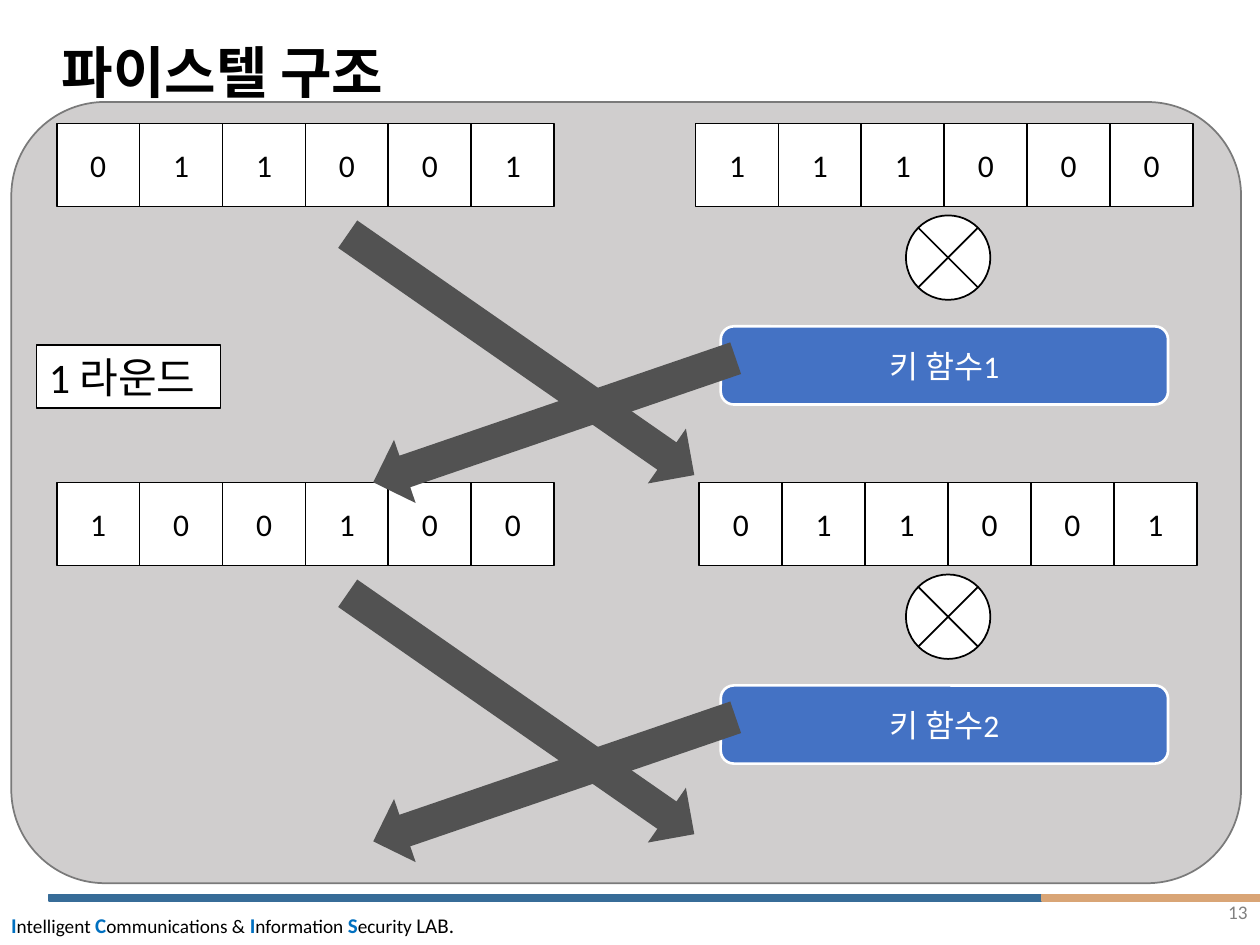
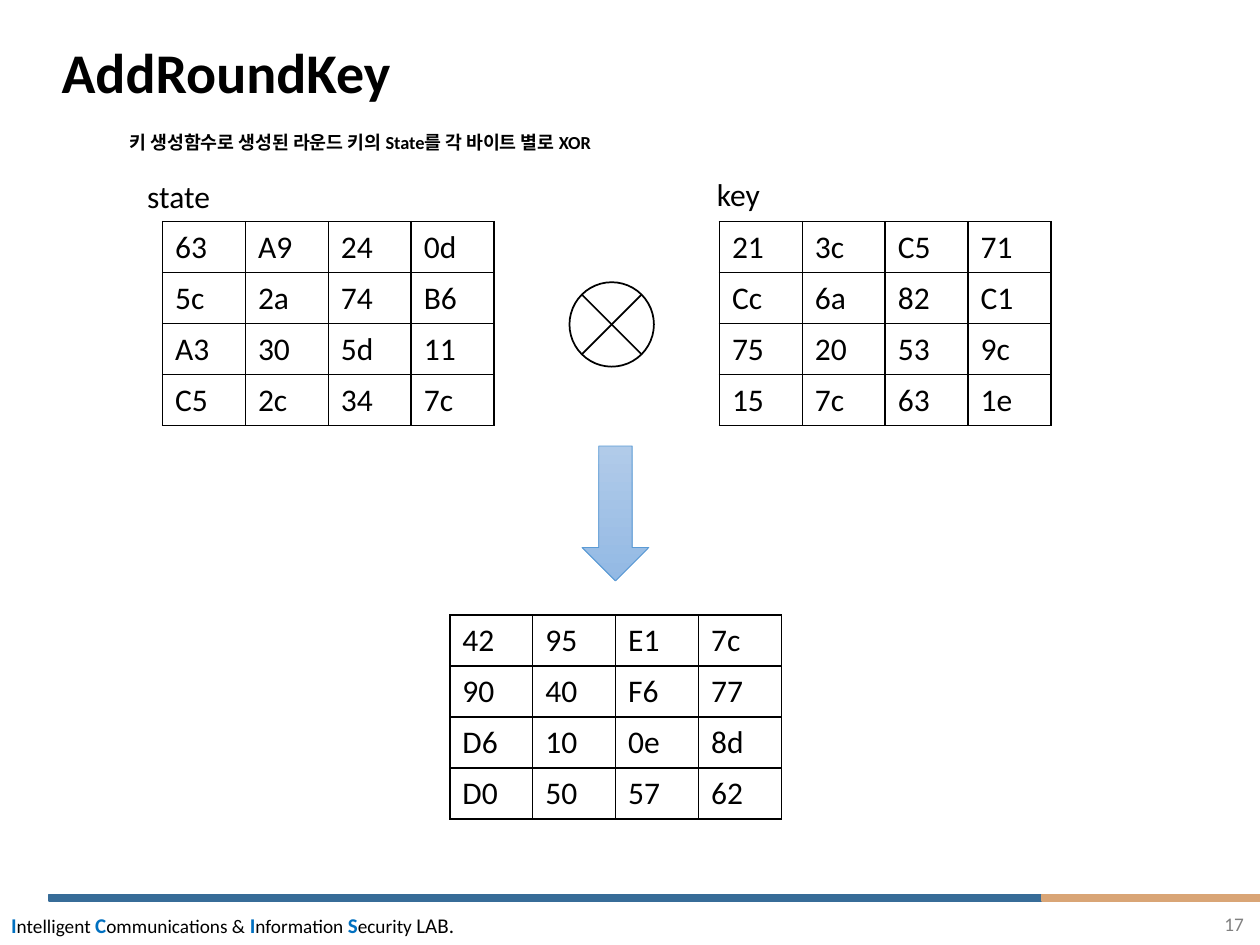
from lxml import etree
from pptx import Presentation
from pptx.dml.color import RGBColor
from pptx.enum.shapes import MSO_SHAPE
from pptx.enum.text import MSO_ANCHOR, MSO_AUTO_SIZE, PP_ALIGN
from pptx.oxml.ns import qn
from pptx.util import Inches, Pt

RECTANGLE = MSO_SHAPE.RECTANGLE
ROUNDED = MSO_SHAPE.ROUNDED_RECTANGLE
XOR_SIGN = MSO_SHAPE.FLOWCHART_SUMMING_JUNCTION
RIGHT_ARROW = MSO_SHAPE.RIGHT_ARROW
DOWN_ARROW = MSO_SHAPE.DOWN_ARROW
TOP, MIDDLE = MSO_ANCHOR.TOP, MSO_ANCHOR.MIDDLE
LEFT, CENTER, RIGHT = PP_ALIGN.LEFT, PP_ALIGN.CENTER, PP_ALIGN.RIGHT

BLACK = RGBColor(0x00, 0x00, 0x00)
WHITE = RGBColor(0xFF, 0xFF, 0xFF)
BAND_BLUE = RGBColor(0x37, 0x6C, 0x98)
BAND_TAN = RGBColor(0xD9, 0xA5, 0x76)
INITIAL_BLUE = RGBColor(0x00, 0x70, 0xC0)
NUMBER_GRAY = RGBColor(0x80, 0x80, 0x80)
PANEL_FILL = RGBColor(0xD0, 0xCE, 0xCE)
PANEL_LINE = RGBColor(0x7A, 0x7A, 0x7A)
KEY_BLUE = RGBColor(0x44, 0x72, 0xC4)
ARROW_GRAY = RGBColor(0x52, 0x52, 0x52)
ARROW_LINE = RGBColor(0x5B, 0x9B, 0xD5)
ARROW_LIGHT = RGBColor(0xB1, 0xCB, 0xE9)
ARROW_DARK = RGBColor(0x93, 0xB9, 0xE4)
FONT = "Calibri"

BANDS = [(0.39, 7.93, BAND_BLUE), (8.27, 1.73, BAND_TAN)]
LAB_NAME = [("I", "ntelligent "), ("C", "ommunications & "),
            ("I", "nformation "), ("S", "ecurity ")]

CELL = 0.66
CELL_STEP = 0.658
ROUND_TOP = 0.98
ROUND_STEP = 2.85
BIT_ROWS = [(0.45, 0, "011001"), (5.52, 0, "111000"),
            (5.55, 1, "011001"), (0.45, 1, "100100")]
KEY_FUNCTIONS = ["키 함수1", "키 함수2"]
CROSSING_ARROWS = [(2.46, 1.57, 3.35, 34.8), (2.88, 2.09, 3.04, 161.1)]

MATRICES = [
    (5.71, 1.76, ["21 3c C5 71", "Cc 6a 82 C1", "75 20 53 9c", "15 7c 63 1e"]),
    (1.29, 1.76, ["63 A9 24 0d", "5c 2a 74 B6", "A3 30 5d 11", "C5 2c 34 7c"]),
    (3.57, 4.88, ["42 95 E1 7c", "90 40 F6 77", "D6 10 0e 8d", "D0 50 57 62"]),
]
MATRIX_LABELS = [("state", (1.07, 1.36, 0.7, 0.4)), ("key", (5.59, 1.34, 0.55, 0.4))]
EXPLANATION = "키 생성함수로 생성된 라운드 키의 State를 각 바이트 별로 XOR"


def set_font(font, size, color=BLACK, bold=False):
    font.name = FONT
    font.size = Pt(size)
    font.color.rgb = color
    font.bold = bold


def write(shape, text, size, color=BLACK, bold=False, align=LEFT, anchor=TOP, fit=False):
    frame = shape.text_frame
    frame.word_wrap = not fit
    frame.vertical_anchor = anchor
    if fit:
        frame.auto_size = MSO_AUTO_SIZE.SHAPE_TO_FIT_TEXT
    paragraph = frame.paragraphs[0]
    paragraph.text = text
    paragraph.alignment = align
    set_font(paragraph.font, size, color, bold)
    return paragraph


def add_text(slide, box, text, size, **style):
    return write(slide.shapes.add_textbox(*map(Inches, box)), text, size, **style)


def add_shape(shapes, kind, box, fill=WHITE, line=BLACK, width=1):
    shape = shapes.add_shape(kind, *map(Inches, box))
    shape.shadow.inherit = False
    if fill is not None:
        shape.fill.solid()
        shape.fill.fore_color.rgb = fill
    if line is None:
        shape.line.fill.background()
    else:
        shape.line.color.rgb = line
        shape.line.width = Pt(width)
    return shape


def add_footer(slide):
    for left, width, color in BANDS:
        add_shape(slide.shapes, RECTANGLE, (left, 7.1, width, 0.05), color, color)
    box = slide.shapes.add_textbox(*map(Inches, (-0.01, 7.19, 3.74, 0.3)))
    box.text_frame.word_wrap = False
    paragraph = box.text_frame.paragraphs[0]
    pieces = []
    for initial, rest in LAB_NAME:
        pieces += [(initial, 12, INITIAL_BLUE, True), (rest, 11, BLACK, False)]
    pieces.append(("LAB.", 12, BLACK, False))
    for text, *style in pieces:
        run = paragraph.add_run()
        run.text = text
        set_font(run.font, *style)


def add_title(slide, title):
    paragraph = add_text(slide, (0.39, 0.2, 9.21, 0.79), title, 32, bold=True, anchor=MIDDLE)
    paragraph.line_spacing = 0.9


def add_number(slide, number, left, top):
    add_text(slide, (left, top, 2.25, 0.4), number, 11, color=NUMBER_GRAY, align=RIGHT)


def add_xor(slide, left, top):
    add_shape(slide.shapes, XOR_SIGN, (left, top, 0.67, 0.67))


def add_bits(slide, left, top, bits):
    group = slide.shapes.add_group_shape()
    for column, bit in enumerate(bits):
        cell = add_shape(group.shapes, RECTANGLE, (left + column * CELL_STEP, top, CELL, CELL))
        write(cell, bit, 18, align=CENTER, anchor=MIDDLE)


def add_round(slide, top, key_function):
    add_xor(slide, 7.19, top + 0.73)
    key_box = add_shape(slide.shapes, ROUNDED, (5.72, top + 1.61, 3.55, 0.62),
                        KEY_BLUE, WHITE, 1.5)
    write(key_box, key_function, 18, WHITE, align=CENTER, anchor=MIDDLE)
    for left, drop, length, angle in CROSSING_ARROWS:
        arrow = add_shape(slide.shapes, RIGHT_ARROW, (left, top + drop, length, 0.53),
                          ARROW_GRAY, None)
        arrow.rotation = angle


def set_borders(cell):
    properties = cell._tc.get_or_add_tcPr()
    for index, side in enumerate(("a:lnL", "a:lnR", "a:lnT", "a:lnB")):
        border = etree.Element(qn(side), w=str(Pt(1)))
        fill = etree.SubElement(border, qn("a:solidFill"))
        etree.SubElement(fill, qn("a:srgbClr"), val=str(BLACK))
        properties.insert(index, border)


def add_matrix(slide, left, top, lines):
    rows = [line.split() for line in lines]
    box = (left, top, 2.64, 1.62)
    table = slide.shapes.add_table(len(rows), len(rows[0]), *map(Inches, box)).table
    table.first_row = table.horz_banding = False
    for column in table.columns:
        column.width = Inches(CELL_STEP)
    for row_index, row in enumerate(rows):
        for column_index, value in enumerate(row):
            cell = table.cell(row_index, column_index)
            cell.fill.solid()
            cell.fill.fore_color.rgb = WHITE
            set_borders(cell)
            paragraph = cell.text_frame.paragraphs[0]
            paragraph.text = value
            set_font(paragraph.font, 18)


def build_feistel(slide):
    add_footer(slide)
    panel = add_shape(slide.shapes, ROUNDED, (0.09, 0.81, 9.76, 6.2), PANEL_FILL, PANEL_LINE)
    panel.adjustments[0] = 0.12
    add_title(slide, "파이스텔 구조")
    add_number(slide, "13", 7.75, 7.1)
    for left, level, bits in BIT_ROWS:
        add_bits(slide, left, ROUND_TOP + level * ROUND_STEP, bits)
    for level, key_function in enumerate(KEY_FUNCTIONS):
        add_round(slide, ROUND_TOP + level * ROUND_STEP, key_function)
    label = add_shape(slide.shapes, RECTANGLE, (0.29, 2.74, 1.46, 0.5))
    write(label, "1 라운드", 24, fit=True)


def build_add_round_key(slide):
    add_footer(slide)
    add_title(slide, "AddRoundKey")
    add_number(slide, "17", 7.72, 7.19)
    add_text(slide, (0.93, 0.99, 4.16, 0.28), EXPLANATION, 10.5, bold=True, fit=True)
    for matrix in MATRICES:
        add_matrix(slide, *matrix)
    add_xor(slide, 4.52, 2.24)
    for text, box in MATRIX_LABELS:
        add_text(slide, box, text, 18, fit=True)
    arrow = add_shape(slide.shapes, DOWN_ARROW, (4.62, 3.54, 0.53, 1.07), None, ARROW_LINE, 0.5)
    arrow.fill.gradient()
    arrow.fill.gradient_angle = 270
    for stop, color in zip(arrow.fill.gradient_stops, (ARROW_LIGHT, ARROW_DARK)):
        stop.color.rgb = color


def main():
    presentation = Presentation()
    presentation.slide_width = Inches(10)
    presentation.slide_height = Inches(7.5)
    blank = presentation.slide_layouts[6]
    for build in (build_feistel, build_add_round_key):
        build(presentation.slides.add_slide(blank))
    presentation.save("out.pptx")


if __name__ == "__main__":
    main()
